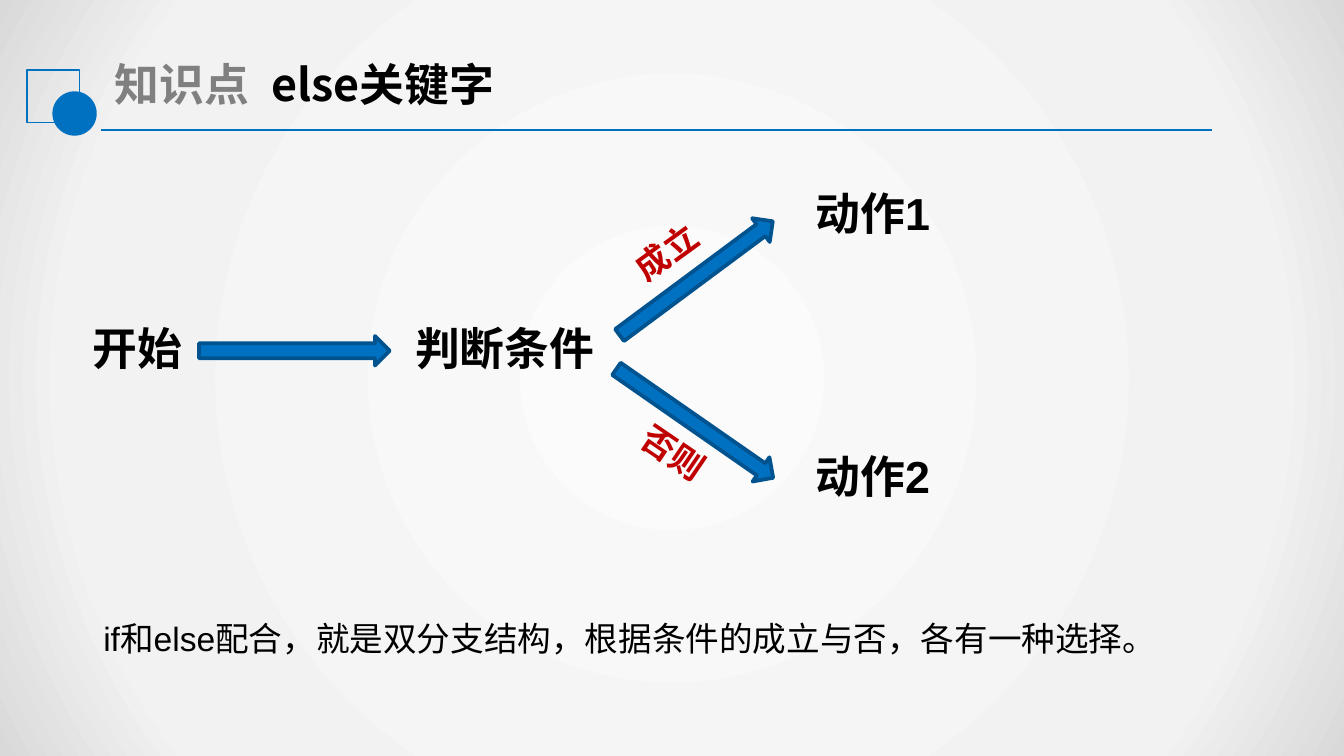
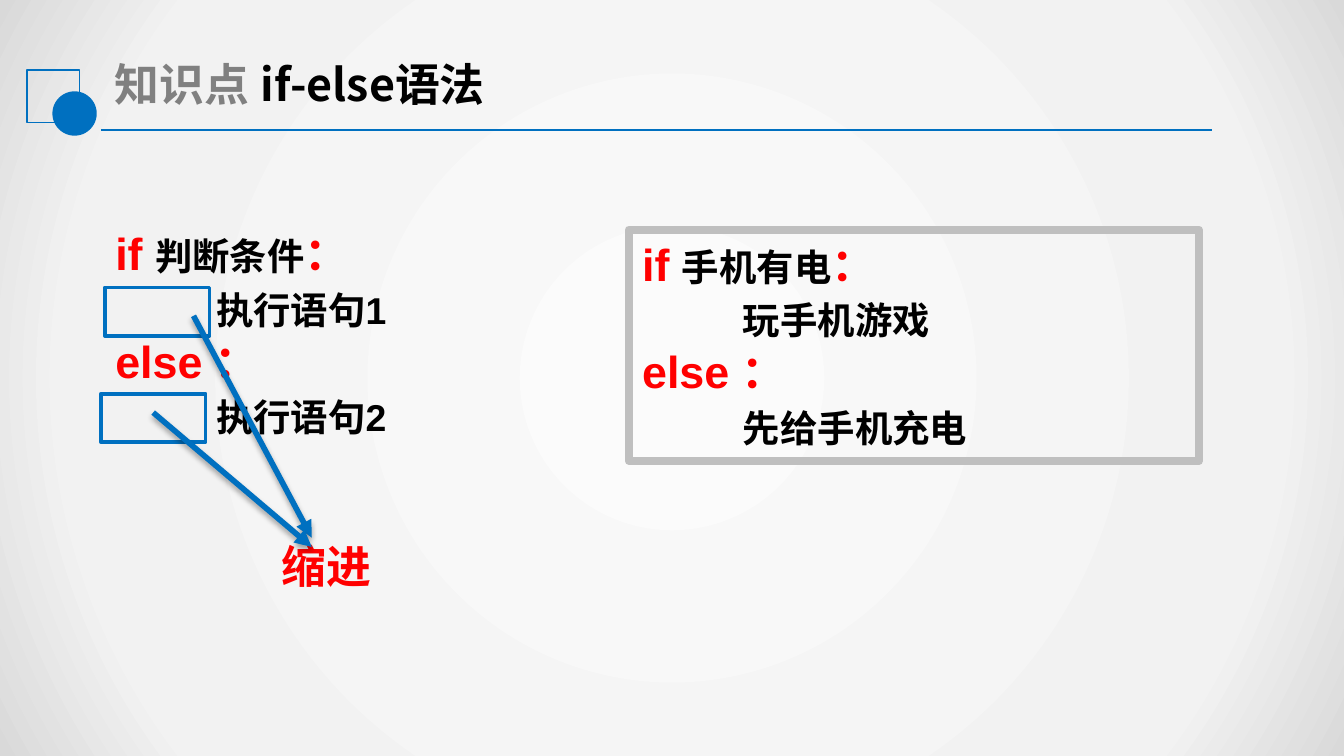
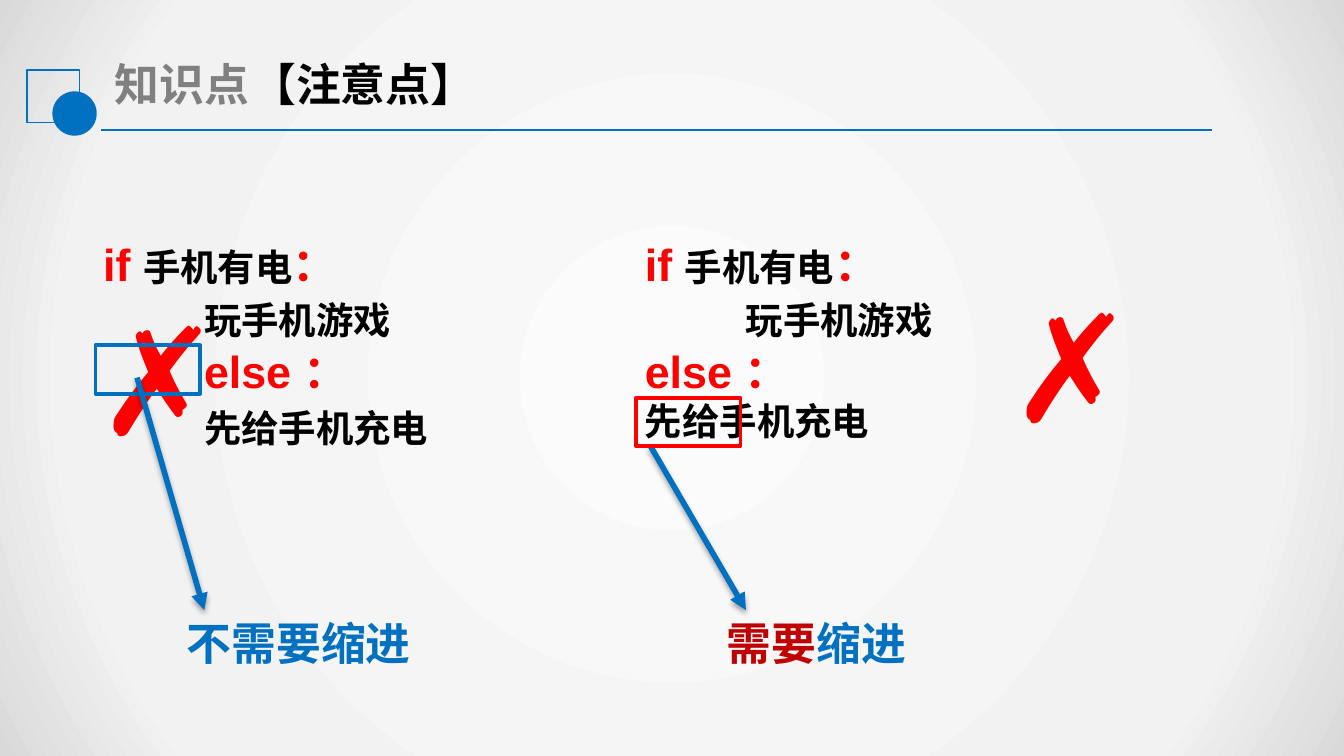
"""Builds three slides that explain the else keyword and if-else syntax."""
from lxml import etree
from pptx import Presentation
from pptx import util as u
from pptx.dml.color import RGBColor
from pptx.enum import shapes, text
from pptx.oxml import ns

BLUE = RGBColor(0x00, 0x70, 0xC0)
DARK_BLUE = RGBColor(0x00, 0x53, 0x8E)
RED = RGBColor(0xFF, 0x00, 0x00)
DARK_RED = RGBColor(0xC0, 0x00, 0x00)
BLACK = RGBColor(0x00, 0x00, 0x00)
GRAY = RGBColor(0x80, 0x80, 0x80)
LIGHT_GRAY = RGBColor(0xBF, 0xBF, 0xBF)
BACKDROP = ((0, "FBFBFB"), (79, "F2F2F2"), (100, "D9D9D9"))

LATIN = "Arial"
CHINESE = "Noto Sans CJK SC"
LABEL = "Roboto Condensed"
SLIDE_WIDTH = u.Inches(10)
SLIDE_HEIGHT = SLIDE_WIDTH * 9 // 16
TAB_STOP = u.Inches(0.75)
MARK_SIZE = (0.78, 0.36)
CODE_WIDTH, CODE_HEIGHT = 4.24, 1.72


def add_element(parent, tag, **attributes):
    """Append a drawing element with the given attributes."""
    values = {name: str(value) for name, value in attributes.items()}
    return etree.SubElement(parent, ns.qn(tag), values)


def set_backdrop(master):
    """Give the master a round gradient background."""
    master.background.fill.gradient()
    gradient = next(master.element.iter(ns.qn("a:gradFill")))
    gradient.clear()
    stops = add_element(gradient, "a:gsLst")
    for percent, color in BACKDROP:
        stop = add_element(stops, "a:gs", pos=percent * 1000)
        add_element(stop, "a:srgbClr", val=color)
    path = add_element(gradient, "a:path", path="circle")
    add_element(path, "a:fillToRect", l=50000, t=50000, r=50000, b=50000)


def set_font(paragraph, name, size=None, color=None, bold=True):
    """Set the font that all runs of a paragraph share."""
    font = paragraph.font
    font.name, font.bold = name, bold
    if size:
        font.size = u.Pt(size)
    if color is not None:
        font.color.rgb = color
    defaults = paragraph._p.pPr.find(ns.qn("a:defRPr"))
    add_element(defaults, "a:ea", typeface=CHINESE)


def prepare_frame(shape):
    """Make a text frame wrap, start at the top and fit its text."""
    frame = shape.text_frame
    frame.word_wrap = True
    frame.auto_size = text.MSO_AUTO_SIZE.SHAPE_TO_FIT_TEXT
    frame.vertical_anchor = text.MSO_ANCHOR.TOP
    return frame


def add_label(slide, words, left, top, width, height=0.5, size=24, color=BLACK,
              name=LATIN, bold=True, rotation=0):
    """Add a one-line text box and return its paragraph."""
    box = slide.shapes.add_textbox(*map(u.Inches, (left, top, width, height)))
    box.rotation = rotation
    paragraph = prepare_frame(box).paragraphs[0]
    paragraph.text = words
    set_font(paragraph, name, size, color, bold)
    return paragraph


def add_box(slide, kind, left, top, width, height, fill=None, line=None, weight=2):
    """Add a preset shape without shadow."""
    shape = slide.shapes.add_shape(kind, *map(u.Inches, (left, top, width, height)))
    shape.shadow.inherit = False
    if fill is None:
        shape.fill.background()
    else:
        shape.fill.solid()
        shape.fill.fore_color.rgb = fill
    if line is None:
        shape.line.fill.background()
    else:
        shape.line.color.rgb = line
        shape.line.width = u.Pt(weight)
    return shape


def add_mark(slide, left, top, color=BLUE):
    """Outline the place of an indent."""
    add_box(slide, shapes.MSO_SHAPE.RECTANGLE, left, top, *MARK_SIZE, line=color)


def add_block_arrow(slide, left, top, rotation=0):
    """Add a thick arrow of the flow."""
    arrow = add_box(slide, shapes.MSO_SHAPE.RIGHT_ARROW, left, top, 1.42, 0.22,
                    BLUE, DARK_BLUE)
    arrow.rotation = rotation


def add_line(slide, start, end, weight):
    """Add a blue straight line with an empty effect list, and return both."""
    line = slide.shapes.add_connector(shapes.MSO_CONNECTOR.STRAIGHT,
                                      *map(u.Inches, (*start, *end)))
    line.line.color.rgb = BLUE
    line.line.width = u.Pt(weight)
    return line, add_element(line._element.spPr, "a:effectLst")


def add_pointer(slide, start, end):
    """Add an arrow with a soft shadow."""
    line, effects = add_line(slide, start, end, 3)
    add_element(line.line._get_or_add_ln(), "a:tailEnd", type="triangle")
    shadow = add_element(effects, "a:outerShdw", blurRad=u.Pt(3.1), dist=u.Pt(1.8),
                         dir=5400000, rotWithShape=0)
    color = add_element(shadow, "a:srgbClr", val="000000")
    add_element(color, "a:alpha", val=35000)


def add_cross(slide, left, top):
    """Add a large cross for wrong code."""
    add_label(slide, "✗", left, top, 1.2, 1.45, 80, RED)


def add_run(paragraph, words, size, color):
    """Add a run with its own size and colour."""
    run = paragraph.add_run()
    run.text = words
    run.font.size = u.Pt(size)
    run.font.color.rgb = color


def add_code(slide, left, top, condition, action, other, else_tab="", other_tab="\t",
             height=CODE_HEIGHT, framed=False):
    """Add an if-else block with red keywords."""
    if framed:
        shape = add_box(slide, shapes.MSO_SHAPE.RECTANGLE, left, top, CODE_WIDTH,
                        height, line=LIGHT_GRAY, weight=4.5)
    else:
        shape = slide.shapes.add_textbox(*map(u.Inches, (left, top, CODE_WIDTH, height)))
    frame = prepare_frame(shape)
    lines = (
        (("if ", 24, RED), (condition, 20, BLACK), ("：", 24, RED)),
        (("\t", 24, BLACK), (action, 20, BLACK)),
        ((else_tab, 24, RED), ("else ：", 24, RED)),
        ((other_tab, 24, RED), (other, 20, BLACK)),
    )
    for index, runs in enumerate(lines):
        paragraph = frame.add_paragraph() if index else frame.paragraphs[0]
        paragraph.alignment = text.PP_ALIGN.LEFT
        tabs = add_element(paragraph._p.get_or_add_pPr(), "a:tabLst")
        add_element(tabs, "a:tab", pos=TAB_STOP, algn="l")
        set_font(paragraph, LATIN)
        for words, size, color in runs:
            if words:
                add_run(paragraph, words, size, color)


def add_topic_slide(presentation, heading, indent=0.0):
    """Add a slide with the shared heading band."""
    slide = presentation.slides.add_slide(presentation.slide_layouts[5])
    title = slide.shapes.title
    title.left, title.top, title.width, title.height = map(
        u.Inches, (1.77, 0.37, 4.57, 0.5))
    frame = prepare_frame(title)
    frame.margin_left = u.Inches(0.1 + indent)
    paragraph = frame.paragraphs[0]
    paragraph.text = heading
    paragraph.alignment = text.PP_ALIGN.LEFT
    set_font(paragraph, CHINESE, 24, BLACK)
    label = add_label(slide, "知识点", 0.75, 0.37, 1.21, color=GRAY, name=LABEL)
    label.alignment = text.PP_ALIGN.CENTER
    add_box(slide, shapes.MSO_SHAPE.RECTANGLE, 0.2, 0.52, 0.39, 0.39,
            line=BLUE, weight=0.75)
    add_line(slide, (0.75, 0.97), (9.02, 0.97), 1.25)
    add_box(slide, shapes.MSO_SHAPE.OVAL, 0.39, 0.68, 0.33, 0.33, BLUE)
    return slide


def build_keyword(presentation):
    """Show the two branches as a flow."""
    slide = add_topic_slide(presentation, "else关键字", 0.15)
    add_label(slide, "开始", 0.59, 2.34, 0.94)
    add_block_arrow(slide, 1.48, 2.5)
    add_label(slide, "判断条件", 2.99, 2.34, 1.56)
    add_block_arrow(slide, 4.47, 1.96, 323.4)
    add_block_arrow(slide, 4.46, 3.04, 34.8)
    for words, left, top, rotation in (("成立", 4.59, 1.62, 324),
                                       ("否则", 4.65, 3.22, 34.2)):
        add_label(slide, words, left, top, 0.89, 0.4, 18, DARK_RED, rotation=rotation)
    add_label(slide, "动作1", 5.97, 1.33, 1.42)
    add_label(slide, "动作2", 5.97, 3.29, 1.42)
    add_label(slide, "if和else配合，就是双分支结构，根据条件的成立与否，各有一种选择。",
              0.67, 4.55, 9.01, 0.4, 18, bold=False)


def build_syntax(presentation):
    """Show the syntax beside an example."""
    slide = add_topic_slide(presentation, "if-else语法", 0.07)
    add_code(slide, 0.76, 1.63, "判断条件", "执行语句1", "执行语句2")
    add_mark(slide, 0.78, 2.14)
    add_pointer(slide, (1.44, 2.35), (2.32, 4))
    add_label(slide, "缩进", 2, 3.96, 0.94, color=RED, name=CHINESE)
    add_mark(slide, 0.75, 2.93)
    add_pointer(slide, (1.14, 3.07), (2.32, 4.07))
    add_code(slide, 4.68, 1.71, "手机有电", "玩手机游戏", "先给手机充电", framed=True)


def build_cautions(presentation):
    """Show two indentation mistakes."""
    slide = add_topic_slide(presentation, "【注意点】")
    phone = ("手机有电", "玩手机游戏", "先给手机充电")
    add_code(slide, 0.67, 1.71, *phone, else_tab="\t")
    add_cross(slide, 0.62, 2.08)
    add_mark(slide, 0.71, 2.57)
    add_pointer(slide, (1.02, 2.81), (1.52, 4.54))
    add_label(slide, "不需要缩进", 1.29, 4.53, 2.09, color=BLUE, name=CHINESE)
    add_code(slide, 4.7, 1.71, *phone, other_tab="", height=1.65)
    add_cross(slide, 7.41, 1.98)
    add_pointer(slide, (4.84, 3.32), (5.55, 4.54))
    advice = add_label(slide, "需要", 5.31, 4.53, 2.09, color=BLUE, name=CHINESE)
    advice.runs[0].font.color.rgb = DARK_RED
    advice.add_run().text = "缩进"
    add_mark(slide, 4.73, 2.96, RED)


def main():
    """Build and save the presentation."""
    presentation = Presentation()
    presentation.slide_width = SLIDE_WIDTH
    presentation.slide_height = SLIDE_HEIGHT
    set_backdrop(presentation.slide_master)
    build_keyword(presentation)
    build_syntax(presentation)
    build_cautions(presentation)
    presentation.save("out.pptx")


if __name__ == "__main__":
    main()
